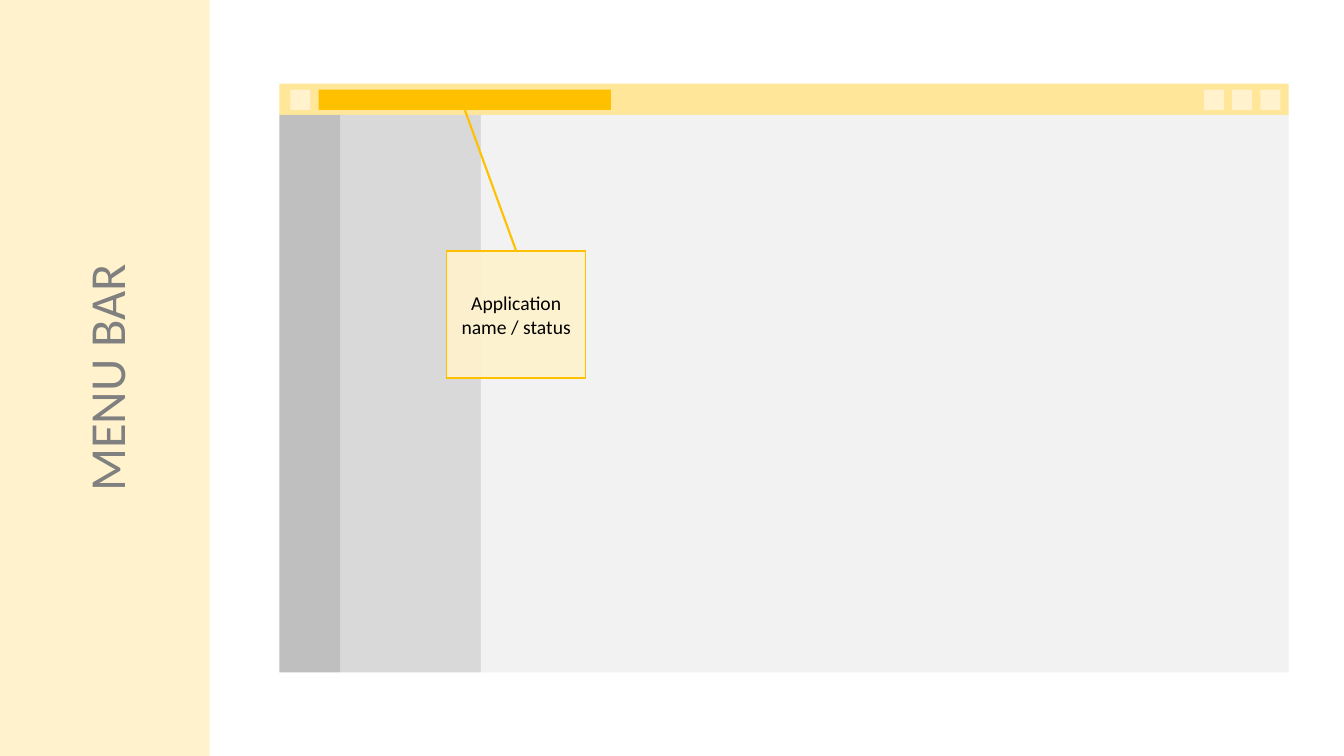
from lxml import etree
from pptx import Presentation
from pptx.dml.color import RGBColor
from pptx.enum.shapes import MSO_CONNECTOR, MSO_SHAPE
from pptx.enum.text import MSO_ANCHOR, PP_ALIGN
from pptx.oxml.ns import qn
from pptx.util import Inches, Pt

# Colours
PALE = RGBColor(0xFF, 0xF2, 0xCC)
YELLOW = RGBColor(0xFF, 0xE6, 0x99)
AMBER = RGBColor(0xFF, 0xC0, 0x00)
DARK_GREY = RGBColor(0xBF, 0xBF, 0xBF)
MID_GREY = RGBColor(0xD9, 0xD9, 0xD9)
LIGHT_GREY = RGBColor(0xF2, 0xF2, 0xF2)
TEXT_GREY = RGBColor(0x80, 0x80, 0x80)
BLACK = RGBColor(0, 0, 0)

# Content
TITLE = ("MENU BAR", {"size": Pt(36), "name": "Calibri"}, TEXT_GREY)
CALLOUT = ("Application name / status", {"size": Pt(14), "name": "Calibri"}, BLACK)
PANES = [(0.61, DARK_GREY), (1.39, MID_GREY), (8.01, LIGHT_GREY)]  # width, colour

# Layout in inches
SLIDE_WIDTH, SLIDE_HEIGHT = 13.33, 7.5
WINDOW_LEFT, WINDOW_TOP = 2.77, 0.83
BAR_HEIGHT, PANE_HEIGHT = 0.31, 5.53
BUTTON, BUTTON_TOP = 0.2, 0.89
BUTTON_PITCH, BUTTON_COUNT = 0.28, 3
FIRST_BUTTON_LEFT = 11.94

presentation = Presentation()
presentation.slide_width = Inches(SLIDE_WIDTH)
presentation.slide_height = Inches(SLIDE_HEIGHT)
slide = presentation.slides.add_slide(presentation.slide_layouts[6])


def add_box(left, top, width, height, fill):
    shape = slide.shapes.add_shape(
        MSO_SHAPE.RECTANGLE, Inches(left), Inches(top), Inches(width), Inches(height))
    shape.shadow.inherit = False
    shape.fill.solid()
    shape.fill.fore_color.rgb = fill
    shape.line.fill.background()
    return shape


def write(shape, content):
    text, font_format, color = content
    frame = shape.text_frame
    frame.word_wrap = True
    frame.vertical_anchor = MSO_ANCHOR.MIDDLE
    paragraph = frame.paragraphs[0]
    paragraph.alignment = PP_ALIGN.CENTER
    run = paragraph.add_run()
    run.text = text
    for name, value in font_format.items():
        setattr(run.font, name, value)
    run.font.color.rgb = color


# Window: menu bar above three panes
add_box(WINDOW_LEFT, WINDOW_TOP, sum(width for width, _ in PANES), BAR_HEIGHT, YELLOW)
pane_left = WINDOW_LEFT
for pane_width, pane_color in PANES:
    add_box(pane_left, WINDOW_TOP + BAR_HEIGHT, pane_width, PANE_HEIGHT, pane_color)
    pane_left += pane_width

# Title band, read upwards
title_band = add_box(0, 0, 2.08, SLIDE_HEIGHT, PALE)
write(title_band, TITLE)
title_band.text_frame._txBody.bodyPr.set("vert", "vert270")

# Menu bar icon, window buttons and status field
button_lefts = [FIRST_BUTTON_LEFT + i * BUTTON_PITCH for i in range(BUTTON_COUNT)]
for button_left in [2.88, *button_lefts]:
    add_box(button_left, BUTTON_TOP, BUTTON, BUTTON, PALE)
status_field = add_box(3.16, BUTTON_TOP, 2.9, BUTTON, AMBER)

# Callout, slightly transparent
callout = add_box(4.43, 2.49, 1.38, 1.26, PALE)
callout.line.color.rgb = AMBER
callout.line.width = Pt(1)
fill_color = callout._element.spPr.find(qn("a:solidFill")).find(qn("a:srgbClr"))
etree.SubElement(fill_color, qn("a:alpha")).set("val", "90000")
write(callout, CALLOUT)

# Leader from the status field to the callout
leader = slide.shapes.add_connector(MSO_CONNECTOR.STRAIGHT, 0, 0, 0, 0)
leader.begin_connect(status_field, 2)
leader.end_connect(callout, 0)
leader.line.color.rgb = AMBER
leader.line.width = Pt(1.5)
etree.SubElement(leader._element.spPr, qn("a:effectLst"))

presentation.save("out.pptx")
